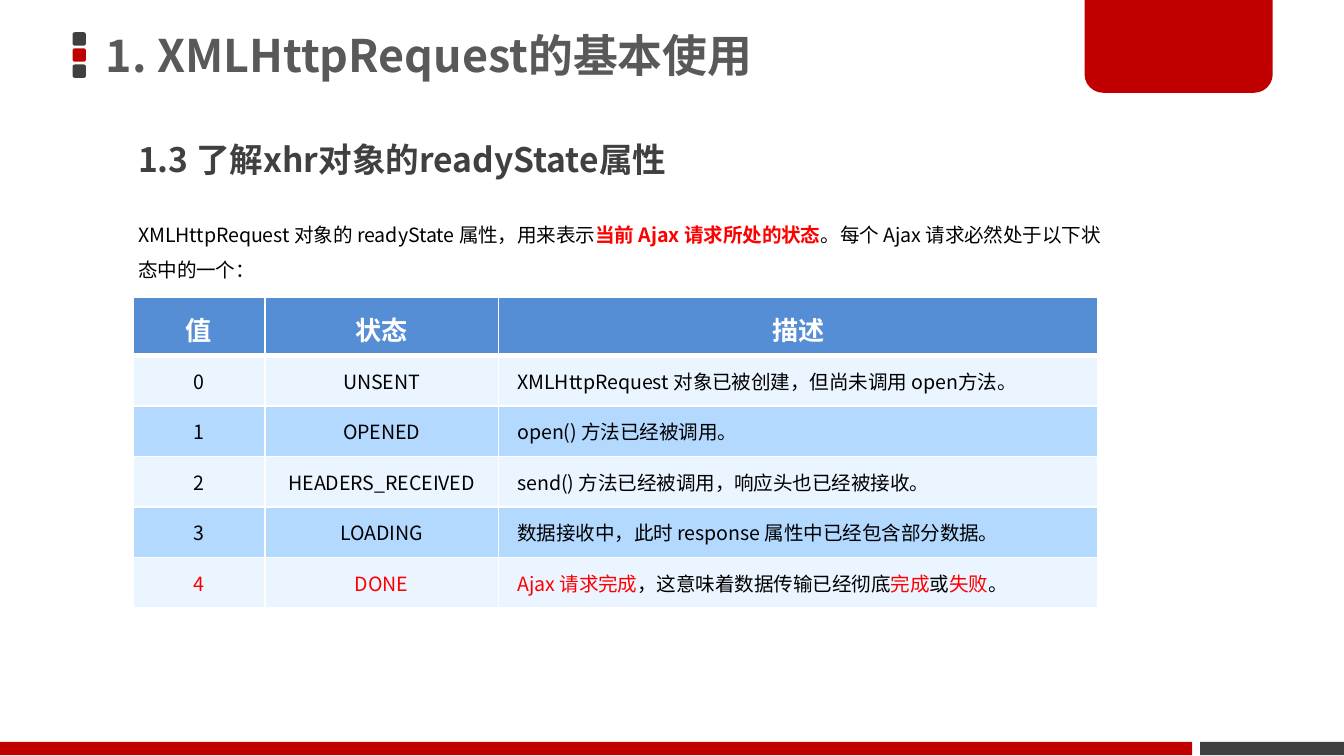
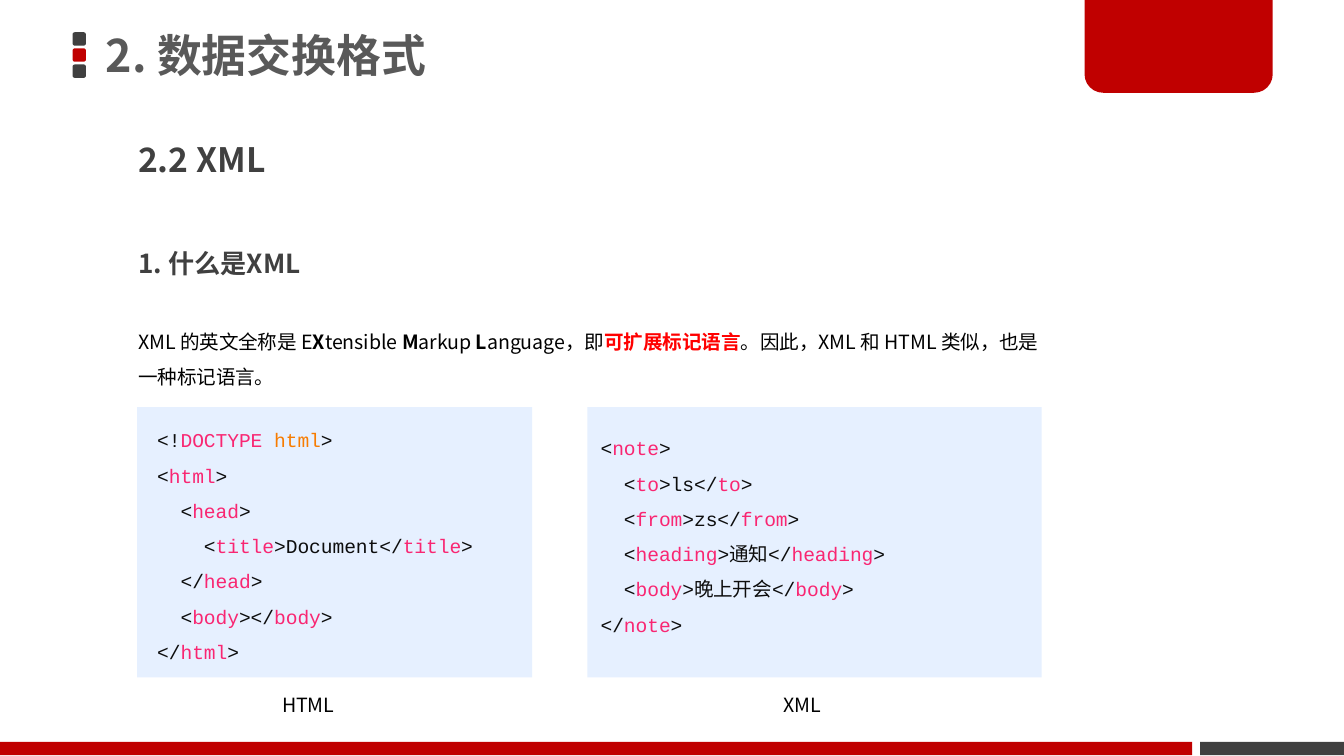
from lxml import etree
from pptx import Presentation
from pptx.dml.color import RGBColor
from pptx.enum.shapes import MSO_SHAPE as Preset
from pptx.enum.text import MSO_ANCHOR as Anchor, PP_ALIGN as Align
from pptx.oxml.ns import qn
from pptx.util import Inches, Pt

COLORS = {
    "red": "C00000", "dark": "404040", "title": "595959", "black": "000000",
    "white": "FFFFFF", "alert": "FF0000", "code": "0D0D0D", "tag": "F92672",
    "attribute": "F77C00", "panel": "E6F0FF", "header": "558ED5",
    "light_row": "EBF5FF", "dark_row": "B3D9FF",
}
SANS = "Noto Sans CJK SC"
MONO = "Courier New"

# Inline marks: a marked stretch of text takes this colour (None keeps it) and weight
MARKS = {
    "^": ("alert", True),
    "#": ("alert", False),
    "*": (None, True),
    "`": ("tag", False),
    "~": ("attribute", False),
}

STATE_HEADER = ["值", "状态", "描述"]
STATES = [
    ["0", "UNSENT", "XMLHttpRequest 对象已被创建，但尚未调用 open方法。"],
    ["1", "OPENED", "open() 方法已经被调用。"],
    ["2", "HEADERS_RECEIVED", "send() 方法已经被调用，响应头也已经被接收。"],
    ["3", "LOADING", "数据接收中，此时 response 属性中已经包含部分数据。"],
    ["#4#", "#DONE#", "#Ajax 请求完成#，这意味着数据传输已经彻底#完成#或#失败#。"],
]
STATE_WIDTHS = [0.98, 1.74, 4.46]

HTML_CODE = [
    "<!`DOCTYPE `~html~>",
    "<`html`>",
    "  <`head`>",
    "    <`title`>Document</`title`>",
    "  </`head`>",
    "  <`body`></`body`>",
    "</`html`>",
]
XML_CODE = [
    "<`note`>",
    "  <`to`>ls</`to`>",
    "  <`from`>zs</`from`>",
    "  <`heading`>通知</`heading`>",
    "  <`body`>晚上开会</`body`>",
    "</`note`>",
]


def rgb(name):
    return RGBColor.from_string(COLORS[name])


def split_marks(text):
    """Yield (piece, mark) pairs; mark is None for plain text."""
    piece, current = "", None
    for character in text:
        if character in MARKS:
            if piece:
                yield piece, current
            piece = ""
            current = None if current == character else character
        else:
            piece += character
    if piece:
        yield piece, current


def write(paragraph, text, size, color="black", bold=False, font=SANS,
          spacing=None, align=Align.LEFT):
    paragraph.alignment = align
    if spacing:
        paragraph.line_spacing = spacing
    for piece, mark in split_marks(text):
        mark_color, mark_bold = MARKS.get(mark, (None, bold))
        run = paragraph.add_run()
        run.text = piece
        run.font.size = Pt(size)
        run.font.bold = mark_bold
        run.font.name = font
        run.font.color.rgb = rgb(mark_color or color)
        east_asian = etree.SubElement(run.font._element, qn("a:ea"))
        east_asian.set("typeface", SANS)


def add_text(slide, box, text, size, anchor=Anchor.TOP, wrap=True, **style):
    shape = slide.shapes.add_textbox(*map(Inches, box))
    text_frame = shape.text_frame
    text_frame.word_wrap = wrap
    text_frame.vertical_anchor = anchor
    write(text_frame.paragraphs[0], text, size, **style)


def add_block(slide, preset, box, color, adjustments=()):
    shape = slide.shapes.add_shape(preset, *map(Inches, box))
    shape.shadow.inherit = False
    shape.fill.solid()
    shape.fill.fore_color.rgb = rgb(color)
    shape.line.fill.background()
    for index, value in enumerate(adjustments):
        shape.adjustments[index] = value
    return shape


def add_code_panel(slide, box, lines, left_inset, top_inset):
    text_frame = add_block(slide, Preset.RECTANGLE, box, "panel").text_frame
    text_frame.word_wrap = True
    text_frame.vertical_anchor = Anchor.TOP
    text_frame.margin_left = Inches(left_inset)
    text_frame.margin_top = Inches(top_inset)
    for index, line in enumerate(lines):
        paragraph = text_frame.add_paragraph() if index else text_frame.paragraphs[0]
        write(paragraph, line, 10.5, "code", font=MONO, spacing=1.5)


def set_borders(cell, top, bottom):
    properties = cell._tc.get_or_add_tcPr()
    for side, width in (("L", 1), ("R", 1), ("T", top), ("B", bottom)):
        line = etree.SubElement(properties, qn(f"a:ln{side}"), w=str(Pt(width)))
        fill = etree.SubElement(line, qn("a:solidFill"))
        etree.SubElement(fill, qn("a:srgbClr"), val=COLORS["white"])


def format_cell(cell, fill, horizontal, vertical, top=1, bottom=1):
    cell.margin_left = cell.margin_right = Inches(horizontal)
    cell.margin_top = cell.margin_bottom = Inches(vertical)
    set_borders(cell, top, bottom)
    cell.fill.solid()
    cell.fill.fore_color.rgb = rgb(fill)


def add_state_table(slide, left, top, header_height, body_height):
    frame = slide.shapes.add_table(
        len(STATES) + 1, len(STATE_WIDTHS), Inches(left), Inches(top),
        Inches(sum(STATE_WIDTHS)), Inches(header_height + body_height))
    table = frame.table
    for column, width in zip(table.columns, STATE_WIDTHS):
        column.width = Inches(width)
    for index, row in enumerate(table.rows):
        row.height = Inches(body_height / len(STATES) if index else header_height)

    # Header row
    for column, text in enumerate(STATE_HEADER):
        cell = table.cell(0, column)
        format_cell(cell, "header", 0.1, 0.05, bottom=3)
        write(cell.text_frame.paragraphs[0], text, 14, "white", bold=True,
              spacing=Pt(24), align=Align.CENTER)

    # Body rows in alternating colours, descriptions aligned left
    for row, texts in enumerate(STATES, start=1):
        for column, text in enumerate(texts):
            cell = table.cell(row, column)
            format_cell(cell, "light_row" if row % 2 else "dark_row", 0.14, 0.08,
                        top=3 if row == 1 else 1)
            cell.vertical_anchor = Anchor.MIDDLE
            write(cell.text_frame.paragraphs[0], text, 10.5,
                  align=Align.LEFT if column == 2 else Align.CENTER)


def add_base_slide(presentation, title, section):
    slide = presentation.slides.add_slide(presentation.slide_layouts[6])
    # Title marker
    for index, color in enumerate(["dark", "red", "dark"]):
        add_block(slide, Preset.ROUNDED_RECTANGLE,
                  (0.54, 0.24 + 0.12 * index, 0.1, 0.1), color, [0.17])
    # Corner tab and footer bands
    add_block(slide, Preset.RECTANGLE, (8.93, 5.52, 1.07, 0.1), "dark")
    add_block(slide, Preset.ROUND_2_SAME_RECTANGLE, (8.07, 0, 1.4, 0.69), "red", [0, 0.2])
    add_block(slide, Preset.RECTANGLE, (0, 5.52, 8.87, 0.1), "red")
    # Headings
    add_text(slide, (0.69, 0, 7.37, 0.87), title, 24, anchor=Anchor.MIDDLE,
             color="title", bold=True, spacing=0.9)
    add_text(slide, (0.93, 1.02, 7.13, 0.59), section, 18,
             color="dark", bold=True, spacing=0.9)
    return slide


def build_ready_state_slide(presentation):
    slide = add_base_slide(presentation, "1. XMLHttpRequest的基本使用",
                           "1.3 了解xhr对象的readyState属性")
    add_text(slide, (0.93, 1.52, 7.37, 0.65),
             "XMLHttpRequest 对象的 readyState 属性，用来表示^当前 Ajax 请求所处的状态^。"
             "每个 Ajax 请求必然处于以下状态中的一个：", 10.5, spacing=1.5)
    add_state_table(slide, 0.99, 2.21, header_height=0.43, body_height=1.88)


def build_xml_slide(presentation):
    slide = add_base_slide(presentation, "2. 数据交换格式", "2.2 XML")
    add_text(slide, (0.93, 2.32, 6.92, 0.68),
             "XML 的英文全称是 E*X*tensible *M*arkup *L*anguage，即^可扩展标记语言^。"
             "因此，XML 和 HTML 类似，也是一种标记语言。", 10.5, spacing=1.5)
    add_text(slide, (0.93, 1.82, 7.1, 0.31), "1. 什么是XML", 14,
             color="dark", bold=True, spacing=0.9)
    add_code_panel(slide, (1.02, 3.03, 2.94, 2.01), HTML_CODE, 0.15, 0.07)
    add_code_panel(slide, (4.37, 3.03, 3.38, 2.01), XML_CODE, 0.1, 0.13)
    add_text(slide, (2, 5.11, 0.62, 0.28), "HTML", 10.5, wrap=False)
    add_text(slide, (5.73, 5.11, 0.52, 0.28), "XML", 10.5, wrap=False)


def main():
    presentation = Presentation()
    # 16:9 page
    presentation.slide_width = Inches(10)
    presentation.slide_height = Inches(10) * 9 // 16
    build_ready_state_slide(presentation)
    build_xml_slide(presentation)
    presentation.save("out.pptx")


if __name__ == "__main__":
    main()
